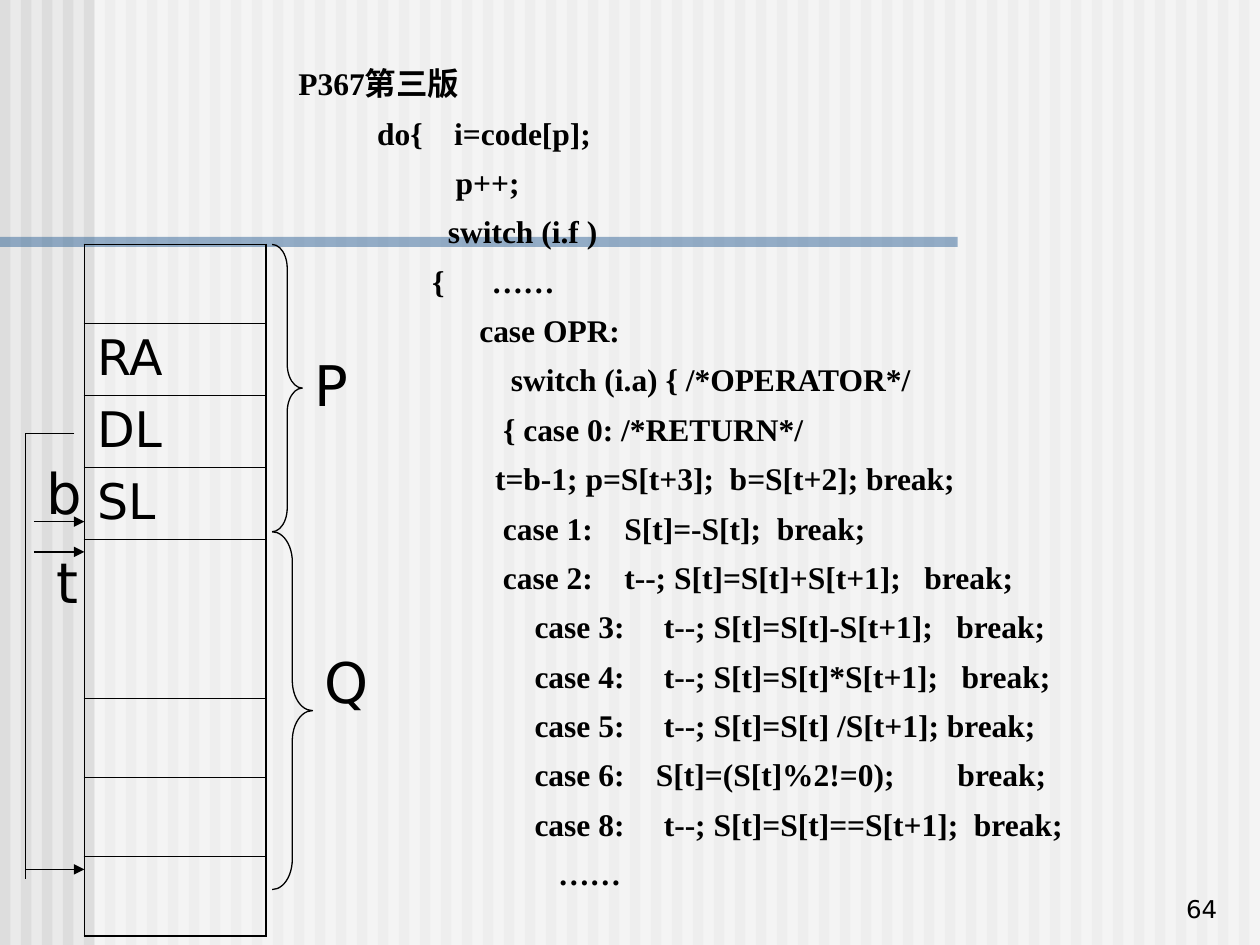
"""Build the slide showing stack frames beside the interpreter's return and arithmetic cases."""
from lxml import etree
from pptx import Presentation
from pptx import util as u
from pptx.dml import color
from pptx.enum import shapes, text
from pptx.oxml import ns

COLORS = {"ink": "000000", "paper": "EAEAEA", "stripe": "DDDDDD", "veil": "FFFFFF", "rule": "336699"}
WIDTH, HEIGHT = 10, 7.5
STRIPES = 60
SANS, SERIF = "DejaVu Sans", "Times New Roman"

CODE = [
    "P367第三版",
    "          do{    i=code[p];",
    "                    p++;",
    "                   switch (i.f )",
    "                 {      ……",
    "                       case OPR:",
    "\t           switch (i.a) { /*OPERATOR*/",
    "\t          { case 0: /*RETURN*/",
    "                         t=b-1; p=S[t+3];  b=S[t+2]; break;",
    "                          case 1:    S[t]=-S[t];  break;",
    "                          case 2:    t--; S[t]=S[t]+S[t+1];   break;",
    "\t              case 3:     t--; S[t]=S[t]-S[t+1];   break;",
    "\t              case 4:     t--; S[t]=S[t]*S[t+1];   break;",
    "\t              case 5:     t--; S[t]=S[t] /S[t+1]; break;",
    "\t              case 6:    S[t]=(S[t]%2!=0);        break;",
    "\t              case 8:     t--; S[t]=S[t]==S[t+1];  break;",
    "\t                 ……",
]
STACK = ["", "RA", "DL", "SL", "", "", "", "", ""]
OPEN_EDGE = 5
STACK_LEFT, STACK_TOP, STACK_WIDTH = 0.67, 1.94, 1.44
FILLED_ROW, EMPTY_ROW = 0.57, 0.63
THICK, THIN = 1.08, 0.45

LABELS = [("b", 0.27, 3.59, 0.32), ("t", 0.35, 4.3, 0.31), ("Q", 2.48, 5.09, 0.47), ("P", 2.4, 2.73, 0.39)]
BRACES = [(1.94, 0.24, 2.28, 0.79), (4.22, 0.32, 2.84, 0.75)]
BRACE_LEFT = 2.16
LINES = [
    (0.27, 4.14, STACK_LEFT, 4.14, True),
    (0.27, 4.38, STACK_LEFT, 4.38, True),
    (0.59, 3.44, 0.2, 3.44, False),
    (0.2, 3.44, 0.2, 6.98, False),
    (0.2, 6.9, STACK_LEFT, 6.9, True),
]


def rgb(name):
    return color.RGBColor.from_string(COLORS[name])


def inches(*values):
    return [u.Inches(value) for value in values]


def apply(target, **values):
    for name, value in values.items():
        setattr(target, name, value)


def add_child(parent, tag, **attributes):
    return etree.SubElement(parent, ns.qn(tag), attributes)


def add_bar(slide, box, fill, alpha=None):
    bar = slide.shapes.add_shape(shapes.MSO_SHAPE.RECTANGLE, *inches(*box))
    bar.shadow.inherit = False
    bar.fill.solid()
    bar.fill.fore_color.rgb = rgb(fill)
    bar.line.fill.background()
    if alpha:
        fill_color = bar.fill._xPr.find(".//" + ns.qn("a:srgbClr"))
        add_child(fill_color, "a:alpha", val=str(alpha * 1000))


def style_font(paragraph, size, name, bold=False):
    apply(paragraph.font, size=u.Pt(size), name=name, bold=bold)
    paragraph.font.color.rgb = rgb("ink")


def add_text(slide, box, lines, size, font=SANS, grow=True):
    frame = slide.shapes.add_textbox(*inches(*box)).text_frame
    fit = text.MSO_AUTO_SIZE.SHAPE_TO_FIT_TEXT if grow else text.MSO_AUTO_SIZE.NONE
    apply(frame, word_wrap=True, auto_size=fit)
    for index, line in enumerate(lines):
        paragraph = frame.add_paragraph() if index else frame.paragraphs[0]
        paragraph.text = line
        style_font(paragraph, size, font, font == SERIF)
    return frame


def add_code(slide):
    frame = add_text(slide, (2.27, 0.47, 8.67, 6.67), CODE, 18, SERIF)
    for index, paragraph in enumerate(frame.paragraphs):
        paragraph.line_spacing = u.Pt(17 if index else 21)
        if index:
            paragraph.space_before = u.Pt(11.2)
        tabs = etree.Element(ns.qn("a:tabLst"))
        add_child(tabs, "a:tab", pos=str(u.Inches(1)), algn="l")
        properties = paragraph._p.get_or_add_pPr()
        defaults = properties.find(ns.qn("a:defRPr"))
        defaults.addprevious(tabs)


def set_borders(cell, widths):
    properties = cell._tc.get_or_add_tcPr()
    for position, (side, width) in enumerate(widths.items()):
        border = etree.Element(ns.qn("a:ln" + side), w=str(u.Pt(width)))
        fill = add_child(border, "a:solidFill" if width else "a:noFill")
        if width:
            add_child(fill, "a:srgbClr", val=COLORS["ink"])
        properties.insert(position, border)


def add_stack(slide):
    heights = [FILLED_ROW if label else EMPTY_ROW for label in STACK]
    box = inches(STACK_LEFT, STACK_TOP, STACK_WIDTH, sum(heights))
    table = slide.shapes.add_table(len(STACK), 1, *box).table
    apply(table, first_row=False, horz_banding=False)
    edges = [THICK] + [THIN] * (len(STACK) - 1) + [THICK]
    edges[OPEN_EDGE] = 0
    for index, (label, height) in enumerate(zip(STACK, heights)):
        table.rows[index].height = u.Inches(height)
        cell = table.cell(index, 0)
        cell.fill.background()
        set_borders(cell, {"L": THICK, "R": THICK, "T": edges[index], "B": edges[index + 1]})
        if label:
            cell.text = label
            style_font(cell.text_frame.paragraphs[0], 28, SANS)


def add_line(slide, start_x, start_y, end_x, end_y, arrow):
    ends = inches(start_x, start_y, end_x, end_y)
    line = slide.shapes.add_connector(shapes.MSO_CONNECTOR.STRAIGHT, *ends)
    line.line.width = u.Pt(0.75)
    line.line.color.rgb = rgb("ink")
    if arrow:
        add_child(line.line._get_or_add_ln(), "a:tailEnd", type="triangle")
    add_child(line._element.spPr, "a:effectLst")


def add_brace(slide, top, width, height, curve):
    box = inches(BRACE_LEFT, top, width, height)
    brace = slide.shapes.add_shape(shapes.MSO_SHAPE.RIGHT_BRACE, *box)
    brace.adjustments[0] = curve
    brace.shadow.inherit = False
    brace.fill.background()
    brace.line.width = u.Pt(0.75)
    brace.line.color.rgb = rgb("ink")


def main():
    presentation = Presentation()
    apply(presentation, slide_width=u.Inches(WIDTH), slide_height=u.Inches(HEIGHT))
    slide = presentation.slides.add_slide(presentation.slide_layouts[6])
    slide.background.fill.solid()
    slide.background.fill.fore_color.rgb = rgb("paper")
    pitch = WIDTH / STRIPES
    for index in range(STRIPES):
        add_bar(slide, (index * pitch, 0, pitch / 2, HEIGHT), "stripe")
    add_bar(slide, (0.75, 0, WIDTH - 0.75, HEIGHT), "veil", 50)
    add_bar(slide, (0, 1.88, 7.6, 0.08), "rule", 50)
    number = add_text(slide, (7.68, 6.88, 2.08, 0.5), ["64"], 14, grow=False)
    number.vertical_anchor = text.MSO_ANCHOR.BOTTOM
    number.paragraphs[0].alignment = text.PP_ALIGN.RIGHT
    add_code(slide)
    add_stack(slide)
    for line in LINES:
        add_line(slide, *line)
    for brace in BRACES:
        add_brace(slide, *brace)
    for label, left, top, width in LABELS:
        add_text(slide, (left, top, width, 0.64), [label], 32)
    presentation.save("out.pptx")


if __name__ == "__main__":
    main()
